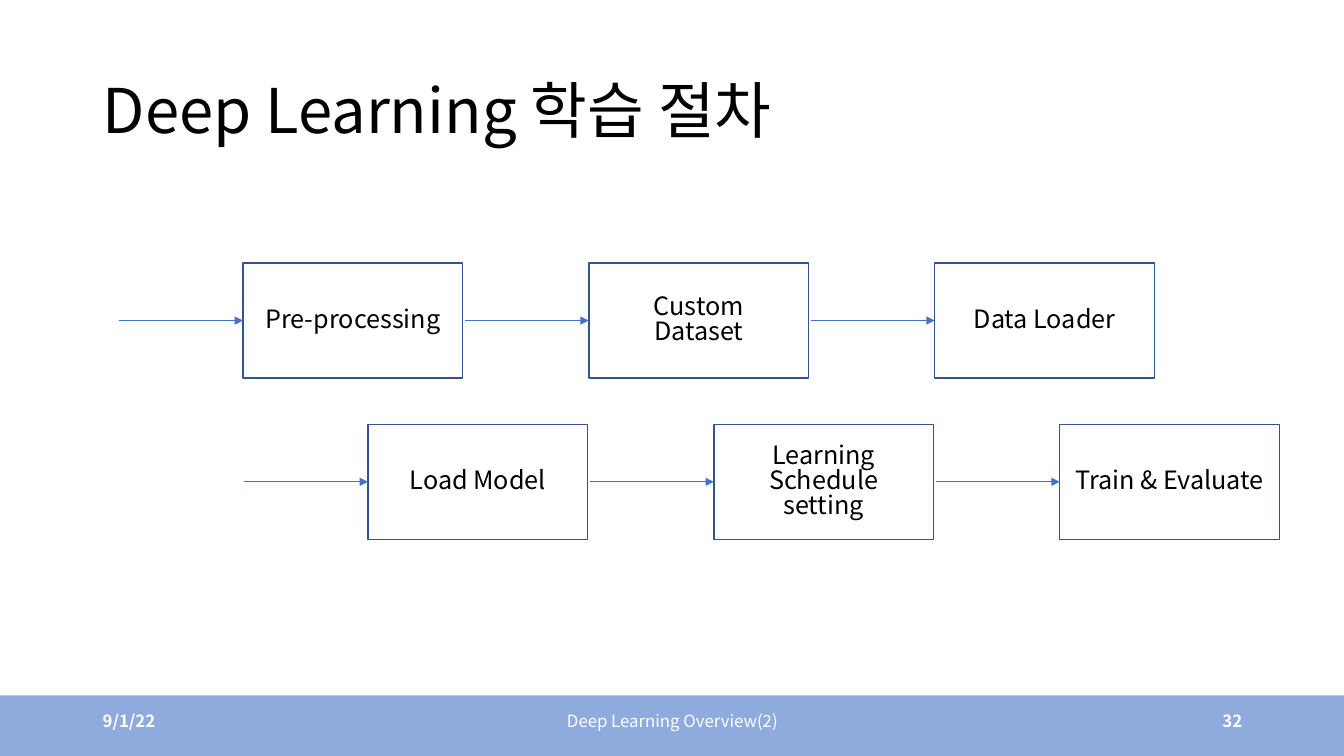
from lxml import etree
from pptx import Presentation
from pptx.dml.color import RGBColor
from pptx.enum import shapes, text
from pptx.oxml import ns
from pptx.util import Inches, Pt

FONT = "Noto Sans CJK KR"
BLACK = RGBColor(0x00, 0x00, 0x00)
WHITE = RGBColor(0xFF, 0xFF, 0xFF)
BAND_BLUE = RGBColor(0x8F, 0xAA, 0xDC)
BOX_BLUE = RGBColor(0x32, 0x54, 0x91)
ARROW_BLUE = RGBColor(0x44, 0x72, 0xC4)

BOX_WIDTH, BOX_HEIGHT = 2.18, 1.14
STEP_PITCH = 3.43
ARROW_LENGTH = 1.23


def write(shape, words, size, color, alignment, bold=False, spacing=None):
    frame = shape.text_frame
    frame.word_wrap = True
    frame.vertical_anchor = text.MSO_ANCHOR.MIDDLE
    paragraph = frame.paragraphs[0]
    paragraph.text = words
    paragraph.alignment = alignment
    paragraph.line_spacing = spacing
    for run in paragraph.runs:
        run.font.name = FONT
        run.font.size = Pt(size)
        run.font.bold = bold
        run.font.color.rgb = color
        east_asian = etree.SubElement(run.font._element, ns.qn("a:ea"))
        east_asian.set("typeface", FONT)


def add_arrow(slide, left, right, middle):
    arrow = slide.shapes.add_connector(
        shapes.MSO_CONNECTOR.STRAIGHT,
        Inches(left), Inches(middle), Inches(right), Inches(middle))
    arrow.line.color.rgb = ARROW_BLUE
    arrow.line.width = Pt(0.5)
    line = arrow.line._get_or_add_ln()
    etree.SubElement(line, ns.qn("a:tailEnd")).set("type", "triangle")
    etree.SubElement(arrow._element.spPr, ns.qn("a:effectLst"))


presentation = Presentation()
presentation.slide_width = Inches(13.33)
presentation.slide_height = Inches(7.5)
slide = presentation.slides.add_slide(presentation.slide_layouts[5])

title = slide.shapes.title
title.left, title.top = Inches(0.92), Inches(0.4)
title.width, title.height = Inches(11.5), Inches(1.45)
write(title, "Deep Learning 학습 절차", 44, BLACK, text.PP_ALIGN.LEFT, spacing=0.9)

band = slide.shapes.add_shape(
    shapes.MSO_SHAPE.RECTANGLE, 0, Inches(6.9), Inches(13.33), Inches(0.6))
band.shadow.inherit = False
band.fill.solid()
band.fill.fore_color.rgb = BAND_BLUE
band.line.fill.background()

footers = [
    ("9/1/22", 0.92, 3, text.PP_ALIGN.LEFT, True),
    ("Deep Learning Overview(2)", 4.42, 4.5, text.PP_ALIGN.CENTER, False),
    ("32", 9.42, 3, text.PP_ALIGN.RIGHT, True),
]
for words, left, width, alignment, bold in footers:
    footer = slide.shapes.add_textbox(
        Inches(left), Inches(6.95), Inches(width), Inches(0.4))
    write(footer, words, 12, WHITE, alignment, bold)

step_rows = [
    (2.41, 2.61, ["Pre-processing", "Custom\nDataset", "Data Loader"]),
    (3.65, 4.21, ["Load Model", "Learning\nSchedule\nsetting", "Train & Evaluate"]),
]
for row_left, top, steps in step_rows:
    for index, step in enumerate(steps):
        left = row_left + index * STEP_PITCH
        box = slide.shapes.add_shape(
            shapes.MSO_SHAPE.RECTANGLE,
            Inches(left), Inches(top), Inches(BOX_WIDTH), Inches(BOX_HEIGHT))
        box.shadow.inherit = False
        box.fill.background()
        box.line.color.rgb = BOX_BLUE
        box.line.width = Pt(1)
        write(box, step, 18, BLACK, text.PP_ALIGN.CENTER, spacing=0.83)
        add_arrow(slide, left - ARROW_LENGTH, left, top + BOX_HEIGHT / 2)

presentation.save("out.pptx")
